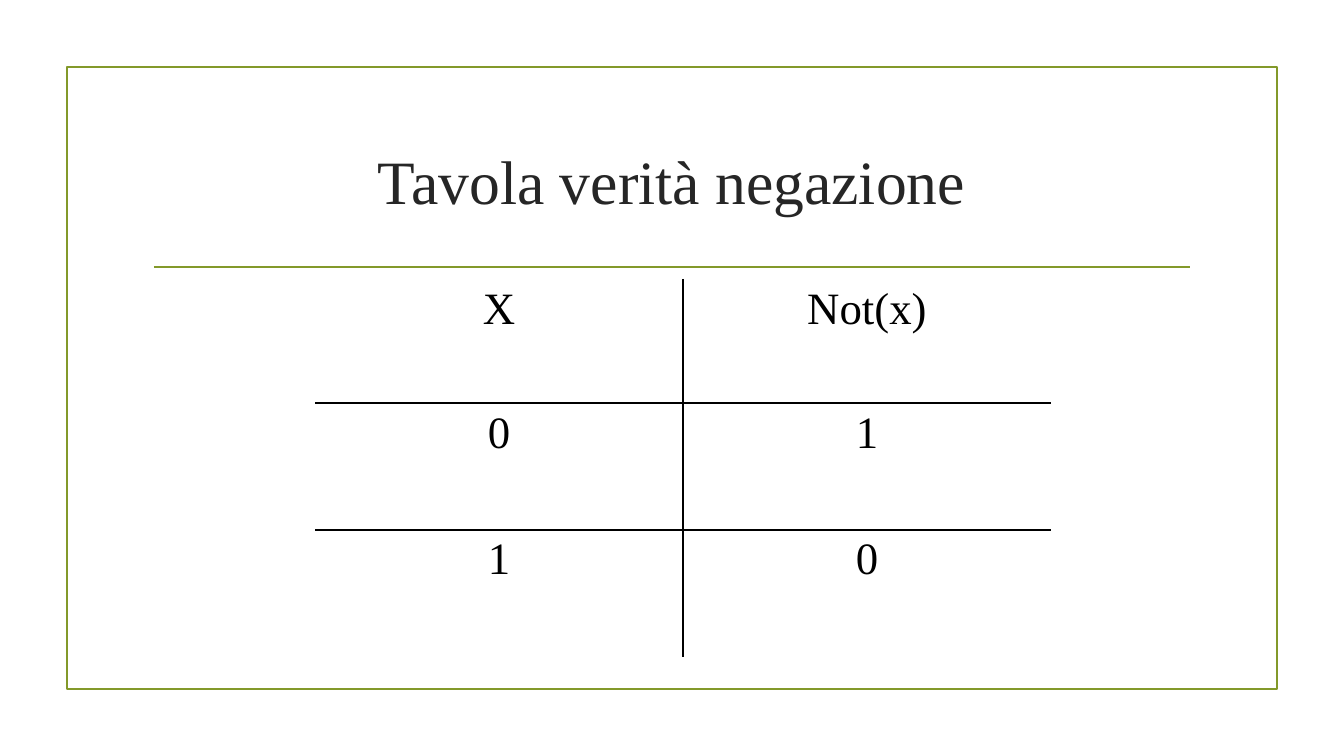
"""Build a slide with the truth table of logical negation."""
from lxml import etree
from pptx import Presentation
from pptx.dml.color import RGBColor
from pptx.enum.shapes import MSO_CONNECTOR, MSO_SHAPE
from pptx.enum.text import MSO_ANCHOR, PP_ALIGN
from pptx.oxml.ns import qn
from pptx.util import Emu, Pt

TITLE = "Tavola verità negazione"
TRUTH_ROWS = [("X", "Not(x)"), ("0", "1"), ("1", "0")]

SLIDE_SIZE = (1344, 756)
FRAME_BOX = (67, 67, 1210, 622)
RULE_ENDS = (154, 267, 1190, 267)
TITLE_BOX = (143, 108, 1058, 144)
TABLE_BOX = (315, 279, 736, 378)
ROW_HEIGHTS = (124, 127, 127)

GREEN, BLACK, DARK = "83992A", "000000", "262626"
TITLE_FORMAT = {"name": "Times New Roman", "size": Pt(44), "bold": False}
CELL_FORMAT = {"name": "Times New Roman", "size": Pt(32), "bold": False}
PLAIN_TABLE_STYLE = "{2D5ABB26-0587-4C30-8999-92F81FD0307C}"

TITLE_ONLY = 5
RECTANGLE = MSO_SHAPE.RECTANGLE
STRAIGHT = MSO_CONNECTOR.STRAIGHT
CENTER = PP_ALIGN.CENTER
MIDDLE = MSO_ANCHOR.MIDDLE


def px(*lengths):
    return [Emu(round(length * 914400 / 100.8)) for length in lengths]


def color(value):
    return RGBColor.from_string(value)


def format_paragraph(paragraph, text, values, text_color):
    paragraph.alignment = CENTER
    font = paragraph.add_run().font
    paragraph.runs[0].text = text
    for name, value in values.items():
        setattr(font, name, value)
    font.color.rgb = color(text_color)


def format_line(line):
    line.color.rgb = color(GREEN)
    line.width = Pt(1.25)


def add_border(cell, side):
    properties = cell._tc.get_or_add_tcPr()
    border = etree.SubElement(properties, qn(f"a:ln{side}"), w=str(Pt(1)))
    fill = etree.SubElement(border, qn("a:solidFill"))
    etree.SubElement(fill, qn("a:srgbClr"), val=BLACK)


def add_frame(slide):
    frame = slide.shapes.add_shape(RECTANGLE, *px(*FRAME_BOX))
    frame.shadow.inherit = False
    frame.fill.background()
    format_line(frame.line)
    rule = slide.shapes.add_connector(STRAIGHT, *px(*RULE_ENDS))
    etree.SubElement(rule._element.spPr, qn("a:effectLst"))
    format_line(rule.line)


def add_title(slide):
    title = slide.shapes.title
    title.left, title.top, title.width, title.height = px(*TITLE_BOX)
    title.text_frame.vertical_anchor = MIDDLE
    format_paragraph(title.text_frame.paragraphs[0], TITLE, TITLE_FORMAT, DARK)


def add_truth_table(slide):
    size = len(TRUTH_ROWS), len(TRUTH_ROWS[0])
    table = slide.shapes.add_table(*size, *px(*TABLE_BOX)).table
    table.first_row = table.horz_banding = False
    table._tbl.tblPr.find(qn("a:tableStyleId")).text = PLAIN_TABLE_STYLE
    for row, height in zip(table.rows, px(*ROW_HEIGHTS)):
        row.height = height
    for row_index, values in enumerate(TRUTH_ROWS):
        for column_index, value in enumerate(values):
            cell = table.cell(row_index, column_index)
            add_border(cell, "R" if column_index == 0 else "L")
            if row_index < 2:
                add_border(cell, "B" if row_index == 0 else "T")
            cell.fill.background()
            format_paragraph(cell.text_frame.paragraphs[0], value, CELL_FORMAT, BLACK)


def main():
    presentation = Presentation()
    presentation.slide_width, presentation.slide_height = px(*SLIDE_SIZE)
    slide = presentation.slides.add_slide(presentation.slide_layouts[TITLE_ONLY])
    add_frame(slide)
    add_title(slide)
    add_truth_table(slide)
    presentation.save("out.pptx")


if __name__ == "__main__":
    main()
